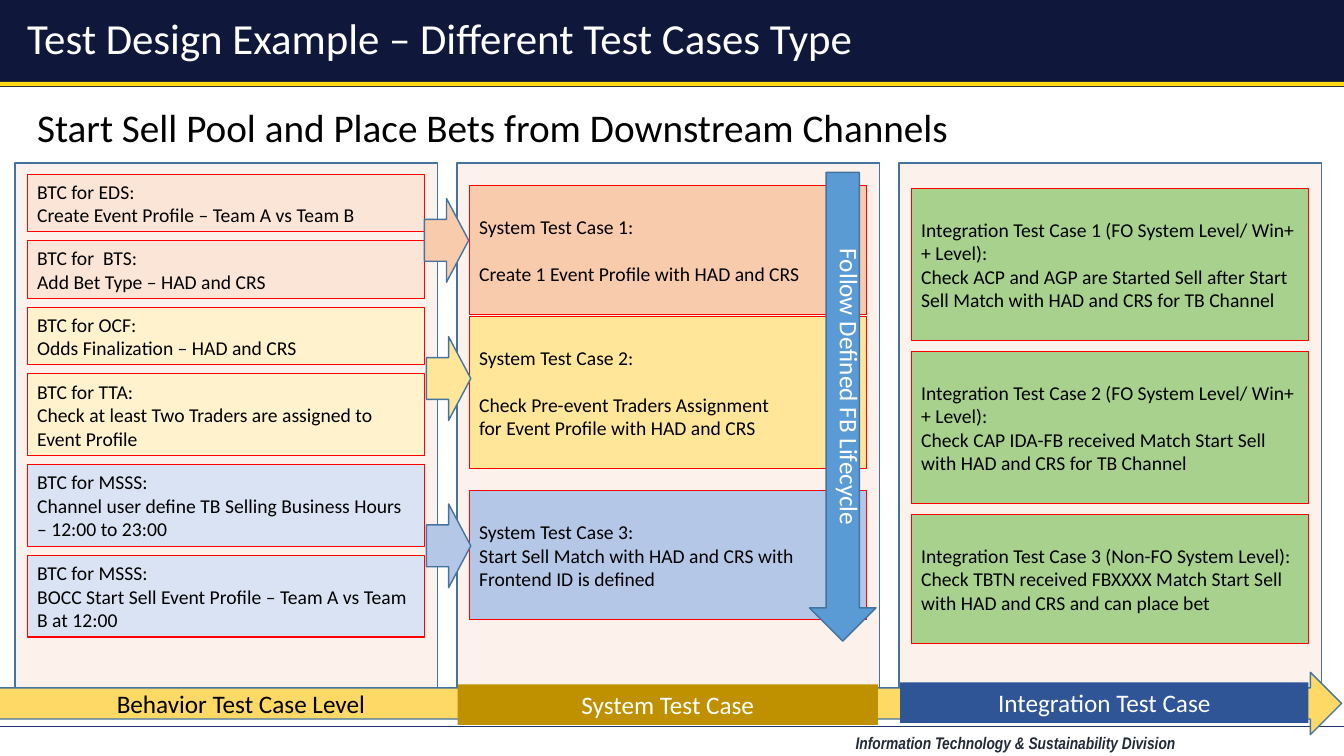
from pptx import Presentation
from pptx.dml.color import RGBColor
from pptx.enum.shapes import MSO_CONNECTOR, MSO_SHAPE as Preset
from pptx.enum.text import MSO_ANCHOR as Anchor, MSO_AUTO_SIZE as AutoSize, PP_ALIGN as Align
from pptx.oxml.ns import qn
from pptx.util import Pt
from lxml import etree

WHITE = RGBColor(0xFF, 0xFF, 0xFF)
BLACK = RGBColor(0x00, 0x00, 0x00)
NAVY = RGBColor(0x0F, 0x18, 0x3A)
BRIGHT_YELLOW = RGBColor(0xFF, 0xD8, 0x16)
RULE_BLUE = RGBColor(0x20, 0x34, 0x6D)
SLATE = RGBColor(0x22, 0x2A, 0x35)
OUTLINE_BLUE = RGBColor(0x43, 0x73, 0x9E)
RED = RGBColor(0xFF, 0x00, 0x00)
PALE_ORANGE = RGBColor(0xFB, 0xE5, 0xD6)
PALE_YELLOW = RGBColor(0xFF, 0xF2, 0xCC)
PALE_BLUE = RGBColor(0xDA, 0xE3, 0xF3)
ORANGE = RGBColor(0xF8, 0xCB, 0xAD)
YELLOW = RGBColor(0xFF, 0xE6, 0x99)
BLUE = RGBColor(0xB4, 0xC7, 0xE7)
GREEN = RGBColor(0xA9, 0xD1, 0x8E)
GOLD = RGBColor(0xFF, 0xD9, 0x66)
DARK_GOLD = RGBColor(0xBF, 0x90, 0x00)
DARK_BLUE = RGBColor(0x2F, 0x55, 0x97)
ARROW_BLUE = RGBColor(0x5B, 0x9B, 0xD5)

SLIDE_WIDTH, SLIDE_HEIGHT = 960, 540
PANEL_TOP, PANEL_WIDTH, PANEL_HEIGHT = 116.6, 301.7, 391
PANEL_LEFTS = [10.8 + 315.7 * column for column in range(3)]
CARD_INSET, CARD_WIDTH = 8.65, 284
TWO_LINES, THREE_LINES, FIVE_LINES, SIX_LINES = 41, 58.3, 92.2, 108.7

BEHAVIOR_CARDS = [
    (PALE_ORANGE, TWO_LINES, ["BTC for EDS:", "Create Event Profile – Team A vs Team B"]),
    (PALE_ORANGE, TWO_LINES, ["BTC for  BTS:", "Add Bet Type – HAD and CRS"]),
    (PALE_YELLOW, TWO_LINES, ["BTC for OCF:", "Odds Finalization – HAD and CRS"]),
    (PALE_YELLOW, THREE_LINES,
     ["BTC for TTA:", "Check at least Two Traders are assigned to Event Profile"]),
    (PALE_BLUE, THREE_LINES,
     ["BTC for MSSS:", "Channel user define TB Selling Business Hours – 12:00 to 23:00"]),
    (PALE_BLUE, THREE_LINES,
     ["BTC for MSSS:", "BOCC Start Sell Event Profile – Team A vs Team B at 12:00"]),
]
# Top, height, colour, space under the heading, text
SYSTEM_CARDS = [
    (132.5, FIVE_LINES, ORANGE, 17,
     ["System Test Case 1:", "Create 1 Event Profile with HAD and CRS"]),
    (226.1, SIX_LINES, YELLOW, 17,
     ["System Test Case 2:", "Check Pre-event Traders Assignment",
      "for Event Profile with HAD and CRS"]),
    (350.6, FIVE_LINES, BLUE, 0,
     ["System Test Case 3:", "Start Sell Match with HAD and CRS with Frontend ID is defined"]),
]
INTEGRATION_CARDS = [
    (GREEN, SIX_LINES,
     ["Integration Test Case 1 (FO System Level/ Win++ Level):",
      "Check ACP and AGP are Started Sell after Start Sell Match with HAD and CRS for TB Channel"]),
    (GREEN, SIX_LINES,
     ["Integration Test Case 2 (FO System Level/ Win++ Level):",
      "Check CAP IDA-FB received Match Start Sell with HAD and CRS for TB Channel"]),
    (GREEN, FIVE_LINES,
     ["Integration Test Case 3 (Non-FO System Level):",
      "Check TBTN received FBXXXX Match Start Sell with HAD and CRS and can place bet"]),
]
STEP_ARROWS = [(303.1, 141.8, ORANGE), (304.6, 240.5, YELLOW), (304.6, 360, BLUE)]


def write(shape, lines, size=14, color=BLACK, font="Calibri", align=Align.LEFT,
          anchor=Anchor.MIDDLE, bold=False, italic=False, heading_gap=0, spacing=None):
    frame = shape.text_frame
    frame.word_wrap = True
    frame.auto_size = AutoSize.NONE
    frame.vertical_anchor = anchor
    for index, line in enumerate(lines):
        paragraph = frame.add_paragraph() if index else frame.paragraphs[0]
        paragraph.text = line
        paragraph.alignment = align
        if spacing:
            paragraph.line_spacing = spacing
        if index == 1 and heading_gap:
            paragraph.space_before = Pt(heading_gap)
        paragraph.font.name = font
        paragraph.font.size = Pt(size)
        paragraph.font.bold = bold
        paragraph.font.italic = italic
        paragraph.font.color.rgb = color


def add_preset(slide, preset, left, top, width, height, fill, line=None, line_width=1):
    shape = slide.shapes.add_shape(preset, Pt(left), Pt(top), Pt(width), Pt(height))
    shape.shadow.inherit = False
    shape.fill.solid()
    shape.fill.fore_color.rgb = fill
    if line is None:
        shape.line.fill.background()
    else:
        shape.line.color.rgb = line
        shape.line.width = Pt(line_width)
    return shape


def add_label(slide, left, top, width, height, text, **text_format):
    label = slide.shapes.add_textbox(Pt(left), Pt(top), Pt(width), Pt(height))
    write(label, [text], **text_format)
    return label


def add_header(slide, left, top, width):
    add_preset(slide, Preset.RECTANGLE, left, top, width, 62, NAVY)
    add_preset(slide, Preset.RECTANGLE, left, top + 58.5, width, 3, BRIGHT_YELLOW)
    title = slide.shapes.title
    title.left, title.top = Pt(left + 12.2), Pt(top + 8.6)
    title.width, title.height = Pt(864), Pt(40.3)
    write(title, ["Test Design Example – Different Test Cases Type"],
          size=30.6, color=WHITE, spacing=0.9)
    slide.shapes._spTree.append(title._element)  # bring the title in front of the bars
    add_label(slide, left + 19.4, top + 69.8, 914.4, 41,
              "Start Sell Pool and Place Bets from Downstream Channels", size=28)


def add_footer(slide, left, top, width):
    rule = slide.shapes.add_connector(MSO_CONNECTOR.STRAIGHT, Pt(left), Pt(top),
                                      Pt(left + width), Pt(top))
    rule.line.color.rgb = RULE_BLUE
    rule.line.width = Pt(0.25)
    etree.SubElement(rule._element.spPr, qn("a:effectLst"))
    add_label(slide, left + 604.1, top + 1.4, 303.1, 20.9,
              "Information Technology & Sustainability Division", size=12, color=SLATE,
              font="Arial Narrow", bold=True, italic=True)


def add_panel(slide, left, top, width, height):
    panel = add_preset(slide, Preset.RECTANGLE, left, top, width, height,
                       PALE_ORANGE, OUTLINE_BLUE)
    color = panel._element.spPr.find(qn("a:solidFill")).find(qn("a:srgbClr"))
    etree.SubElement(color, qn("a:alpha"), val="47000")


def add_card(slide, panel_left, top, height, fill, lines, heading_gap=0):
    card = add_preset(slide, Preset.RECTANGLE, panel_left + CARD_INSET, top,
                      CARD_WIDTH, height, fill, RED, 0.75)
    write(card, lines, heading_gap=heading_gap)


def add_card_stack(slide, panel_left, top, gap, cards):
    for fill, height, lines in cards:
        add_card(slide, panel_left, top, height, fill, lines)
        top += height + gap


def add_system_column(slide, panel_left):
    for top, height, fill, heading_gap, lines in SYSTEM_CARDS:
        add_card(slide, panel_left, top, height, fill, lines, heading_gap)
    for left, top, fill in STEP_ARROWS:
        add_preset(slide, Preset.RIGHT_ARROW, left, top, 31.7, 59.8, fill, OUTLINE_BLUE)


def add_lifecycle_arrow(slide, left, top, width, height):
    add_preset(slide, Preset.DOWN_ARROW, left, top, width, height, ARROW_BLUE, OUTLINE_BLUE)
    label = add_label(slide, left + 7.2, top + 47.5, 36, 306, "Follow Defined FB Lifecycle",
                      size=18, color=WHITE, anchor=Anchor.TOP)
    label.text_frame._txBody.bodyPr.set("vert", "eaVert")


def add_level_arrow(slide, left, top, width, height):
    add_preset(slide, Preset.RIGHT_ARROW, left, top, width, height, GOLD, OUTLINE_BLUE)
    add_label(slide, left + 67, top + 8, 218.9, 29, "Behavior Test Case Level",
              size=18, align=Align.CENTER)
    for offset, drop, level_width, fill, text in [
            (331.2, 8.6, 300.2, DARK_GOLD, "System Test Case"),
            (647.3, 7.2, 291.6, DARK_BLUE, "Integration Test Case")]:
        level = add_preset(slide, Preset.RECTANGLE, left + offset, top + drop,
                           level_width, 29, fill)
        write(level, [text], size=18, color=WHITE, align=Align.CENTER)


def build_test_design_slide(presentation):
    slide = presentation.slides.add_slide(presentation.slide_layouts[5])
    add_footer(slide, 0, 518.4, SLIDE_WIDTH)
    add_header(slide, 0, 0, SLIDE_WIDTH)
    for left in PANEL_LEFTS:
        add_panel(slide, left, PANEL_TOP, PANEL_WIDTH, PANEL_HEIGHT)
    behavior_left, system_left, integration_left = PANEL_LEFTS
    add_card_stack(slide, behavior_left, PANEL_TOP + 8, 6.5, BEHAVIOR_CARDS)
    add_system_column(slide, system_left)
    add_card_stack(slide, integration_left, PANEL_TOP + 18, 7.7, INTEGRATION_CARDS)
    add_level_arrow(slide, -4.3, 480.2, 962.6, 44.6)
    add_lifecycle_arrow(slide, 578.2, 123.1, 47.5, 334.8)


def main():
    presentation = Presentation()
    presentation.slide_width, presentation.slide_height = Pt(SLIDE_WIDTH), Pt(SLIDE_HEIGHT)
    build_test_design_slide(presentation)
    presentation.save("out.pptx")


if __name__ == "__main__":
    main()
